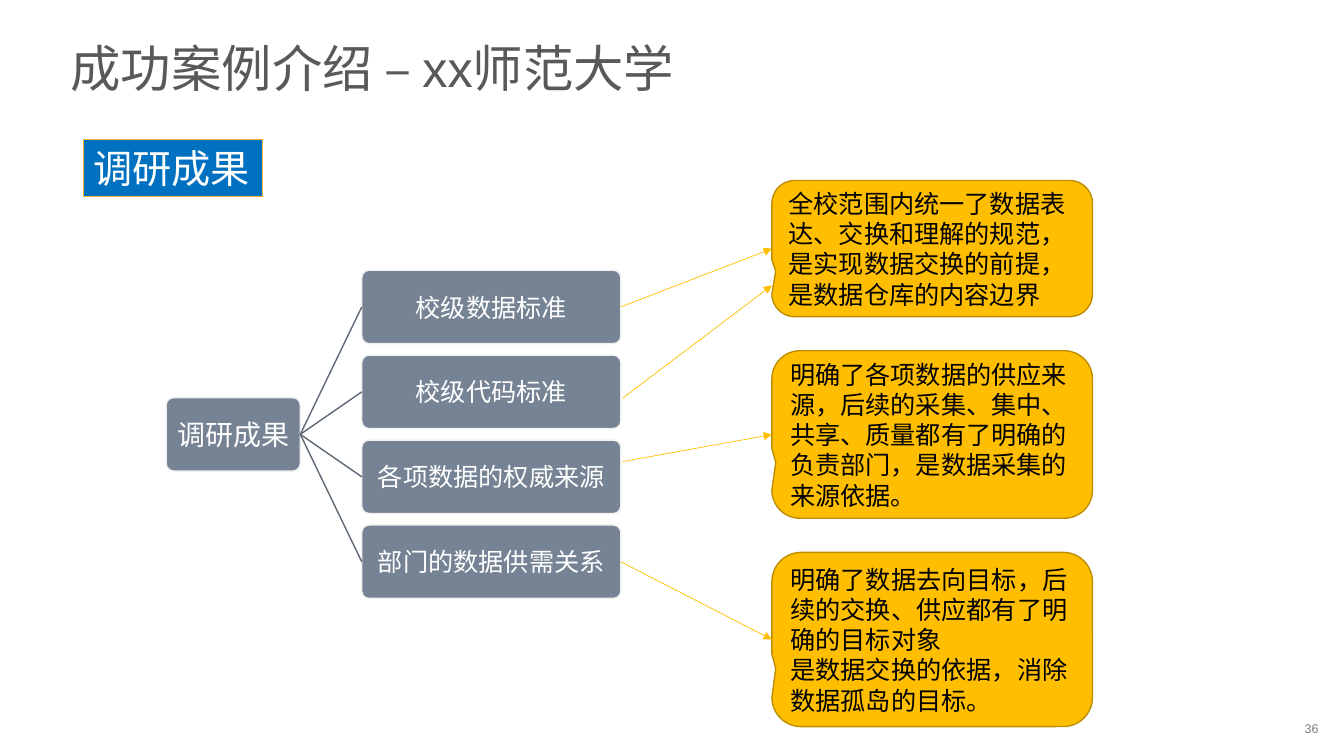
from pptx import Presentation
from pptx.dml.color import RGBColor
from pptx.enum.shapes import MSO_CONNECTOR, MSO_SHAPE
from pptx.enum.text import MSO_ANCHOR, PP_ALIGN
from pptx.oxml.ns import qn
from pptx.util import Cm, Pt
from lxml.etree import SubElement

TITLE = "成功案例介绍 – xx师范大学"
HEADING = "调研成果"
ROOT = "调研成果"
PAGE_NUMBER = "36"
BRANCHES = ["校级数据标准", "校级代码标准", "各项数据的权威来源", "部门的数据供需关系"]
CALLOUTS = [
    (4.55, 3.43, ["全校范围内统一了数据表达、交换和理解的规范，是实现数据交换的前提，",
                  "是数据仓库的内容边界"]),
    (8.84, 4.22, ["明确了各项数据的供应来源，后续的采集、集中、共享、质量都有了明确的负责部门，是数据采集的来源依据。"]),
    (13.92, 4.39, ["明确了数据去向目标，后续的交换、供应都有了明确的目标对象",
                   "是数据交换的依据，消除数据孤岛的目标。"]),
]
# branch, callout, start height, end height; None joins the middle of the side
ARROWS = [(0, 0, None, None), (1, 0, 10.03, 7.19), (2, 1, 11.63, None), (3, 2, None, None)]

THEME = {
    "font": "Arial",
    "title": "595959", "number": "808080", "light": "FFFFFF", "dark": "000000",
    "heading": "0070C0", "heading_line": "FAAF3F",
    "node": "768394", "node_line": "F0F0F0", "link": "5E6977",
    "callout": "FFBF00", "callout_line": "BD8D00",
    "title_size": 36, "heading_size": 28, "root_size": 20, "body_size": 18, "number_size": 9,
}

NODE_HEIGHT = 1.85
BRANCH_LEFT, BRANCH_TOP, BRANCH_WIDTH, BRANCH_STEP = 9.12, 6.81, 6.53, 2.14
ROOT_LEFT, ROOT_WIDTH = 4.19, 3.38
ROOT_TOP = BRANCH_TOP + BRANCH_STEP * (len(BRANCHES) - 1) / 2
CALLOUT_LEFT, CALLOUT_WIDTH = 19.46, 8.08
ARROW_LEFT = 15.7


def color(name):
    return RGBColor.from_string(THEME[name])


def write(shape, text, size, ink, align=PP_ALIGN.LEFT, anchor=MSO_ANCHOR.MIDDLE,
          wrap=True, margins=(0.25, 0.13)):
    frame = shape.text_frame
    frame.word_wrap = wrap
    frame.vertical_anchor = anchor
    frame.margin_left = frame.margin_right = Cm(margins[0])
    frame.margin_top = frame.margin_bottom = Cm(margins[1])
    frame.text = text
    for paragraph in frame.paragraphs:
        paragraph.alignment = align
        paragraph.font.name = THEME["font"]
        paragraph.font.size = Pt(THEME[size])
        paragraph.font.color.rgb = color(ink)


def add_box(slide, kind, box, fill, line, width=1, adjustments=()):
    shape = slide.shapes.add_shape(kind, *map(Cm, box))
    shape.shadow.inherit = False
    shape.fill.solid()
    shape.fill.fore_color.rgb = color(fill)
    shape.line.color.rgb = color(line)
    shape.line.width = Pt(width)
    for index, value in enumerate(adjustments):
        shape.adjustments[index] = value
    return shape


def add_node(slide, text, left, top, width, size):
    node = add_box(slide, MSO_SHAPE.ROUNDED_RECTANGLE, (left, top, width, NODE_HEIGHT),
                   "node", "node_line", adjustments=[0.1])
    write(node, text, size, "light", align=PP_ALIGN.CENTER, margins=(0.03, 0.03))
    return node


def add_line(slide, ink, width, start=(0, 0), end=(0, 0), source=None, target=None, arrow=False):
    connector = slide.shapes.add_connector(MSO_CONNECTOR.STRAIGHT, *map(Cm, start + end))
    if source is not None:
        connector.begin_connect(source, 3)
    if target is not None:
        connector.end_connect(target, 1)
    connector.line.color.rgb = color(ink)
    connector.line.width = Pt(width)
    if arrow:
        SubElement(connector.line._get_or_add_ln(), qn("a:tailEnd"), type="triangle")
    SubElement(connector._element.spPr, qn("a:effectLst"))


def main():
    presentation = Presentation()
    presentation.slide_width, presentation.slide_height = Cm(33.88), Cm(19.05)
    slide = presentation.slides.add_slide(presentation.slide_layouts[6])

    title = slide.shapes.add_textbox(Cm(1.45), Cm(0.46), Cm(30.99), Cm(2.46))
    write(title, TITLE, "title_size", "title", margins=(0.33, 0.18))
    number = slide.shapes.add_textbox(Cm(32.89), Cm(18.06), Cm(0.91), Cm(0.6))
    write(number, PAGE_NUMBER, "number_size", "number", margins=(0, 0))
    heading = add_box(slide, MSO_SHAPE.RECTANGLE, (2.11, 3.51, 4.5, 1.45),
                      "heading", "heading_line", width=0.5)
    write(heading, HEADING, "heading_size", "light", anchor=MSO_ANCHOR.TOP, wrap=False)

    root = add_node(slide, ROOT, ROOT_LEFT, ROOT_TOP, ROOT_WIDTH, "root_size")
    branches = []
    for index, text in enumerate(BRANCHES):
        branch = add_node(slide, text, BRANCH_LEFT, BRANCH_TOP + index * BRANCH_STEP,
                          BRANCH_WIDTH, "body_size")
        add_line(slide, "link", 1, source=root, target=branch)
        branches.append(branch)

    callouts = []
    for top, height, lines in CALLOUTS:
        callout = add_box(slide, MSO_SHAPE.ROUNDED_RECTANGULAR_CALLOUT,
                          (CALLOUT_LEFT, top, CALLOUT_WIDTH, height),
                          "callout", "callout_line", adjustments=[-0.488, 0.167, 0.167])
        write(callout, "\n".join(lines), "body_size", "dark")
        callouts.append(callout)

    for branch, callout, start, end in ARROWS:
        add_line(slide, "callout", 0.5, (ARROW_LEFT, start or 0), (CALLOUT_LEFT, end or 0),
                 source=branches[branch] if start is None else None,
                 target=callouts[callout] if end is None else None, arrow=True)

    presentation.save("out.pptx")


if __name__ == "__main__":
    main()
